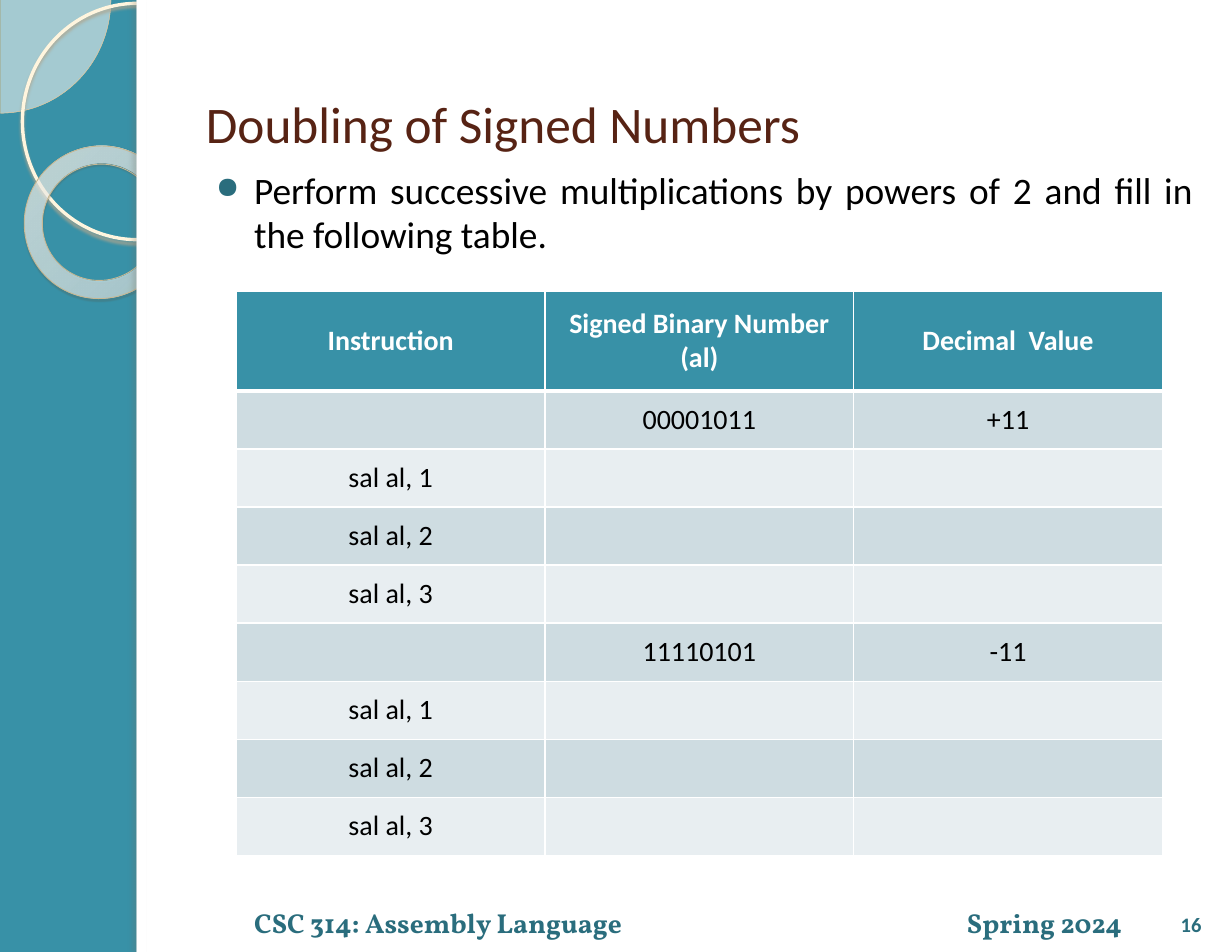
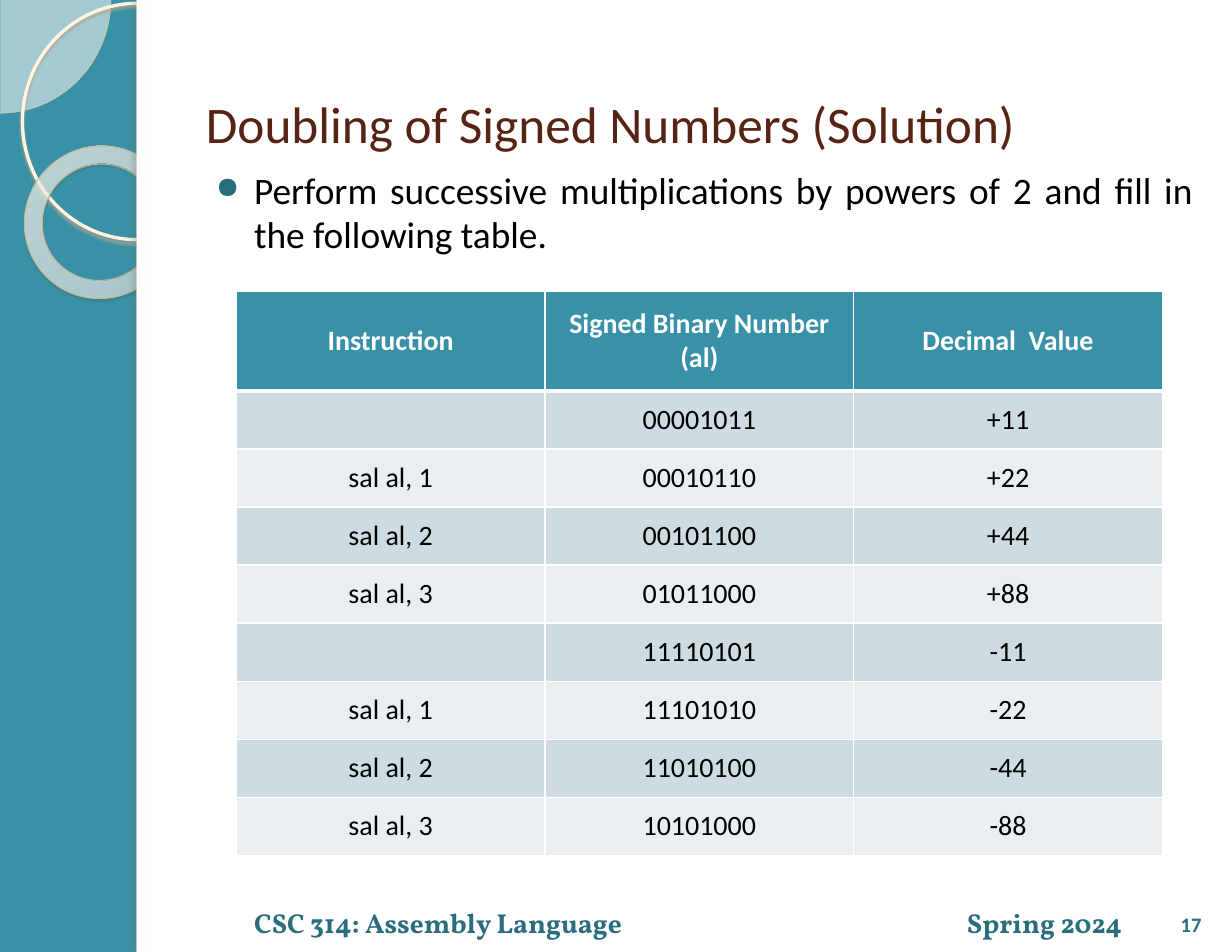
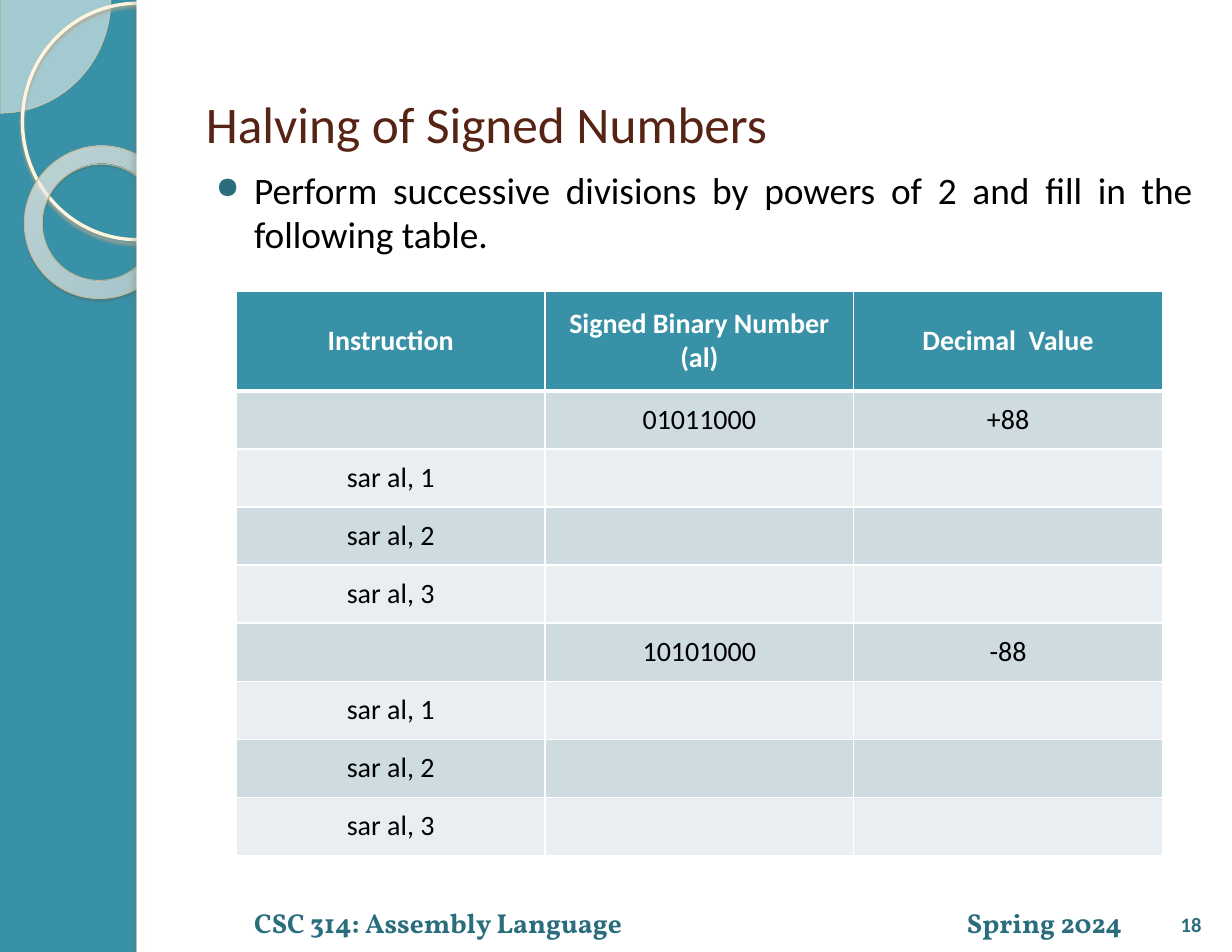
from lxml import etree
from pptx import Presentation
from pptx.dml.color import RGBColor
from pptx.enum.shapes import MSO_SHAPE
from pptx.enum.text import MSO_ANCHOR, PP_ALIGN
from pptx.oxml import parse_xml
from pptx.oxml.ns import nsdecls, qn
from pptx.util import Inches, Pt

COURSE = "CSC 314: Assembly Language"
TERM = "Spring 2024"
FIRST_NUMBER = 16
HEADINGS = ("Instruction", "Signed Binary Number (al)", "Decimal  Value")
MULTIPLY = "Perform successive multiplications by powers of 2 and fill in the following table."
DIVIDE = "Perform successive divisions by powers of 2 and fill in the following table."
BLANK = ("", "")

# Each exercise: title, task, opcode, then (binary, decimal) for each start value and its 3 shifts
EXERCISES = [
    ("Doubling of Signed Numbers", MULTIPLY, "sal", [
        ("00001011", "+11"), BLANK, BLANK, BLANK,
        ("11110101", "-11"), BLANK, BLANK, BLANK,
    ]),
    ("Doubling of Signed Numbers (Solution)", MULTIPLY, "sal", [
        ("00001011", "+11"), ("00010110", "+22"), ("00101100", "+44"), ("01011000", "+88"),
        ("11110101", "-11"), ("11101010", "-22"), ("11010100", "-44"), ("10101000", "-88"),
    ]),
    ("Halving of Signed Numbers", DIVIDE, "sar", [
        ("01011000", "+88"), BLANK, BLANK, BLANK,
        ("10101000", "-88"), BLANK, BLANK, BLANK,
    ]),
]
ROWS_PER_START = 4

TEAL = RGBColor(0x38, 0x91, 0xA7)
DARK_TEAL = RGBColor(0x2A, 0x6D, 0x7D)
BROWN = RGBColor(0x57, 0x23, 0x14)
WHITE = RGBColor(0xFF, 0xFF, 0xFF)
BLACK = RGBColor(0x00, 0x00, 0x00)
CREAM = RGBColor(0xFE, 0xFA, 0xF4)
PIE_EDGE = RGBColor(0xD3, 0xC3, 0x9F)
RING_EDGE = RGBColor(0xFF, 0xF5, 0xDE)
DONUT_EDGE = RGBColor(0xC7, 0xB8, 0x93)
RING_SHADOW = RGBColor(0xB0, 0xA6, 0x8F)
DONUT_SHADOW = RGBColor(0x5A, 0x54, 0x44)
PANEL_SHADOW = RGBColor(0x73, 0x6F, 0x63)
BANDS = (RGBColor(0xCE, 0xDC, 0xE1), RGBColor(0xE8, 0xEE, 0xF1))
DONUT_STOPS = [(0, "FFFCF6", 70), (70, "FFFEFB", 55), (100, "F0D28E", 60)]

BODY_FONT = "Calibri"
FOOTER_FONT = "Vollkorn"
WIDTH, HEIGHT = 11, 8.5
PANEL_LEFT = 1.22
TABLE_BOX = (2.11, 2.6, 8.27, 5.04)
HEADING_HEIGHT = 0.89


def inches(box):
    return [Inches(length) for length in box]


def add_figure(slide, preset, box, fill=None, edge=None, edge_width=0):
    figure = slide.shapes.add_shape(preset, *inches(box))
    figure.shadow.inherit = False
    if fill is None:
        figure.fill.background()
    else:
        figure.fill.solid()
        figure.fill.fore_color.rgb = fill
    if edge is None:
        figure.line.fill.background()
    else:
        figure.line.color.rgb = edge
        figure.line.width = Pt(edge_width)
    return figure


def cast_shadow(figure, color, opacity, blur, distance, angle):
    effects = figure._element.spPr.find(qn("a:effectLst"))
    effects.append(parse_xml(
        f'<a:outerShdw {nsdecls("a")} blurRad="{Pt(blur)}" dist="{Pt(distance)}" '
        f'dir="{angle * 60000}" algn="tl" rotWithShape="0"><a:srgbClr val="{color}">'
        f'<a:alpha val="{opacity * 1000}"/></a:srgbClr></a:outerShdw>'))


def fill_radially(figure, stops):
    gradient = "".join(
        f'<a:gs pos="{place * 1000}"><a:srgbClr val="{color}">'
        f'<a:alpha val="{opacity * 1000}"/></a:srgbClr></a:gs>'
        for place, color, opacity in stops)
    properties = figure._element.spPr
    properties.replace(properties.find(qn("a:solidFill")), parse_xml(
        f'<a:gradFill {nsdecls("a")} rotWithShape="1"><a:gsLst>{gradient}</a:gsLst>'
        '<a:path path="circle"><a:fillToRect l="-408000" t="-50000" r="508000" b="150000"/>'
        '</a:path></a:gradFill>'))


def style(paragraph, size, color, bold=False, font=BODY_FONT, align=PP_ALIGN.LEFT):
    paragraph.alignment = align
    paragraph.font.name = font
    paragraph.font.size = Pt(size)
    paragraph.font.bold = bold
    paragraph.font.color.rgb = color


def add_text(slide, text, box, anchor, *look, **options):
    frame = slide.shapes.add_textbox(*inches(box)).text_frame
    frame.word_wrap = True
    frame.vertical_anchor = anchor
    paragraph = frame.paragraphs[0]
    paragraph.text = text
    style(paragraph, *look, **options)
    return frame


def add_backdrop(slide):
    slide.background.fill.solid()
    slide.background.fill.fore_color.rgb = TEAL
    for _ in range(2):  # two translucent layers brighten the corner
        corner = add_figure(slide, MSO_SHAPE.PIE, (-0.98, -1.02, 1.97, 2.03), CREAM, PIE_EDGE, 0.25)
        corner.adjustments[0] = 0
        corner.adjustments[1] = 54
        tint = corner._element.spPr.find(qn("a:solidFill"))[0]
        etree.SubElement(tint, qn("a:alpha"), val="33000")

    ring = add_figure(slide, MSO_SHAPE.OVAL, (0.2, 0.03, 2.05, 2.11), None, RING_EDGE, 2.15)
    cast_shadow(ring, RING_SHADOW, 85, 2, 2, 90)

    donut = add_figure(slide, MSO_SHAPE.DONUT, (0.22, 1.3, 1.35, 1.37), CREAM, DONUT_EDGE, 0.58)
    donut.rotation = 38.6
    donut.adjustments[0] = 0.12
    fill_radially(donut, DONUT_STOPS)
    cast_shadow(donut, DONUT_SHADOW, 35, 1, 1.2, 75)

    add_figure(slide, MSO_SHAPE.RECTANGLE, (PANEL_LEFT, 0, WIDTH - PANEL_LEFT, HEIGHT), WHITE)
    panel_edge = add_figure(slide, MSO_SHAPE.RECTANGLE, (PANEL_LEFT, 0, 0.09, HEIGHT), WHITE)
    cast_shadow(panel_edge, PANEL_SHADOW, 25, 3, 3, 180)


def add_footer(slide, number):
    add_text(slide, str(number), (10.36, 7.82, 0.55, 0.59), MSO_ANCHOR.BOTTOM,
             13.2, DARK_TEAL, True, align=PP_ALIGN.CENTER)
    footer = add_text(slide, f"{COURSE}\t{TERM}", (1.7, 7.74, 8.91, 0.69), MSO_ANCHOR.BOTTOM,
                      17.6, DARK_TEAL, True, FOOTER_FONT)
    footer.margin_left = Inches(0.57)
    properties = footer.paragraphs[0]._p.get_or_add_pPr()
    properties.insert(0, parse_xml(
        f'<a:tabLst {nsdecls("a")}><a:tab pos="{Inches(7.75)}" algn="r"/></a:tabLst>'))


def add_task(slide, task):
    frame = add_text(slide, task, (1.73, 1.44, 9.02, 1.1), MSO_ANCHOR.TOP,
                     24, BLACK, align=PP_ALIGN.JUSTIFY)
    paragraph = frame.paragraphs[0]
    paragraph.space_after = Pt(18)
    properties = paragraph._p.get_or_add_pPr()
    properties.set("marL", str(Inches(0.44)))
    properties.set("indent", str(Inches(-0.34)))
    defaults = properties.find(qn("a:defRPr"))
    for bullet in (f'<a:buClr {nsdecls("a")}><a:srgbClr val="{DARK_TEAL}"/></a:buClr>',
                   f'<a:buSzPct {nsdecls("a")} val="80000"/>',
                   f'<a:buChar {nsdecls("a")} char="●"/>'):
        defaults.addprevious(parse_xml(bullet))


def add_borders(cell, top, bottom):
    properties = cell._tc.get_or_add_tcPr()
    for side, width in (("L", 1), ("R", 1), ("T", top), ("B", bottom)):
        properties.append(parse_xml(
            f'<a:ln{side} {nsdecls("a")} w="{Pt(width)}"><a:solidFill>'
            f'<a:srgbClr val="{WHITE}"/></a:solidFill></a:ln{side}>'))


def add_shift_table(slide, opcode, values):
    rows = [HEADINGS]
    for index, value in enumerate(values):
        shift = index % ROWS_PER_START
        rows.append((f"{opcode} al, {shift}" if shift else "", *value))

    table = slide.shapes.add_table(len(rows), len(HEADINGS), *inches(TABLE_BOX)).table
    row_height = (TABLE_BOX[3] - HEADING_HEIGHT) / len(values)
    for r, row in enumerate(rows):
        heading = r == 0
        table.rows[r].height = Inches(HEADING_HEIGHT if heading else row_height)
        for c, text in enumerate(row):
            cell = table.cell(r, c)
            add_borders(cell, 3 if r == 1 else 1, 3 if heading else 1)
            cell.fill.solid()
            cell.fill.fore_color.rgb = TEAL if heading else BANDS[(r - 1) % 2]
            cell.vertical_anchor = MSO_ANCHOR.MIDDLE
            cell.text = text
            style(cell.text_frame.paragraphs[0], 18, WHITE if heading else BLACK,
                  heading, align=PP_ALIGN.CENTER)


def main():
    deck = Presentation()
    deck.slide_width, deck.slide_height = Inches(WIDTH), Inches(HEIGHT)
    for number, (title, task, opcode, values) in enumerate(EXERCISES, FIRST_NUMBER):
        slide = deck.slides.add_slide(deck.slide_layouts[6])
        add_backdrop(slide)
        add_footer(slide, number)
        add_text(slide, title, (1.74, 0.39, 9.02, 1.42), MSO_ANCHOR.MIDDLE, 33, BROWN)
        add_task(slide, task)
        add_shift_table(slide, opcode, values)
    deck.save("out.pptx")


if __name__ == "__main__":
    main()
